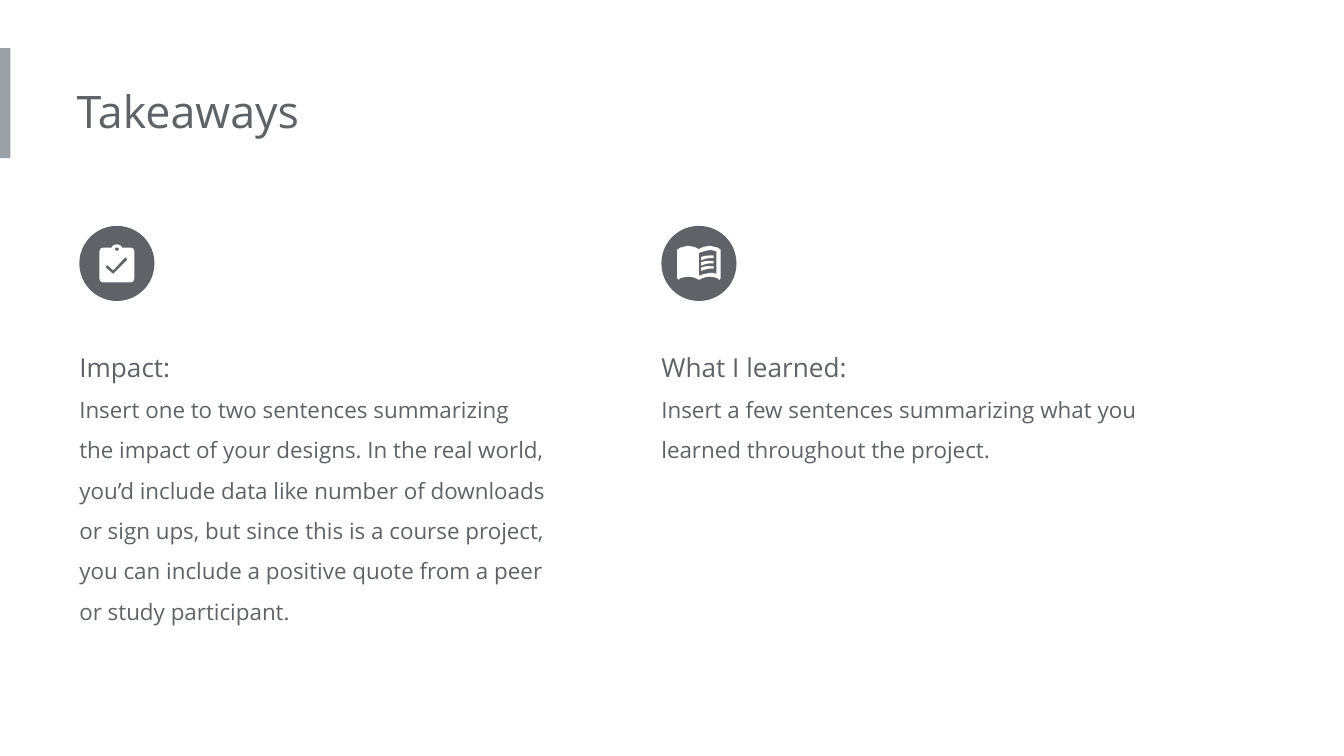
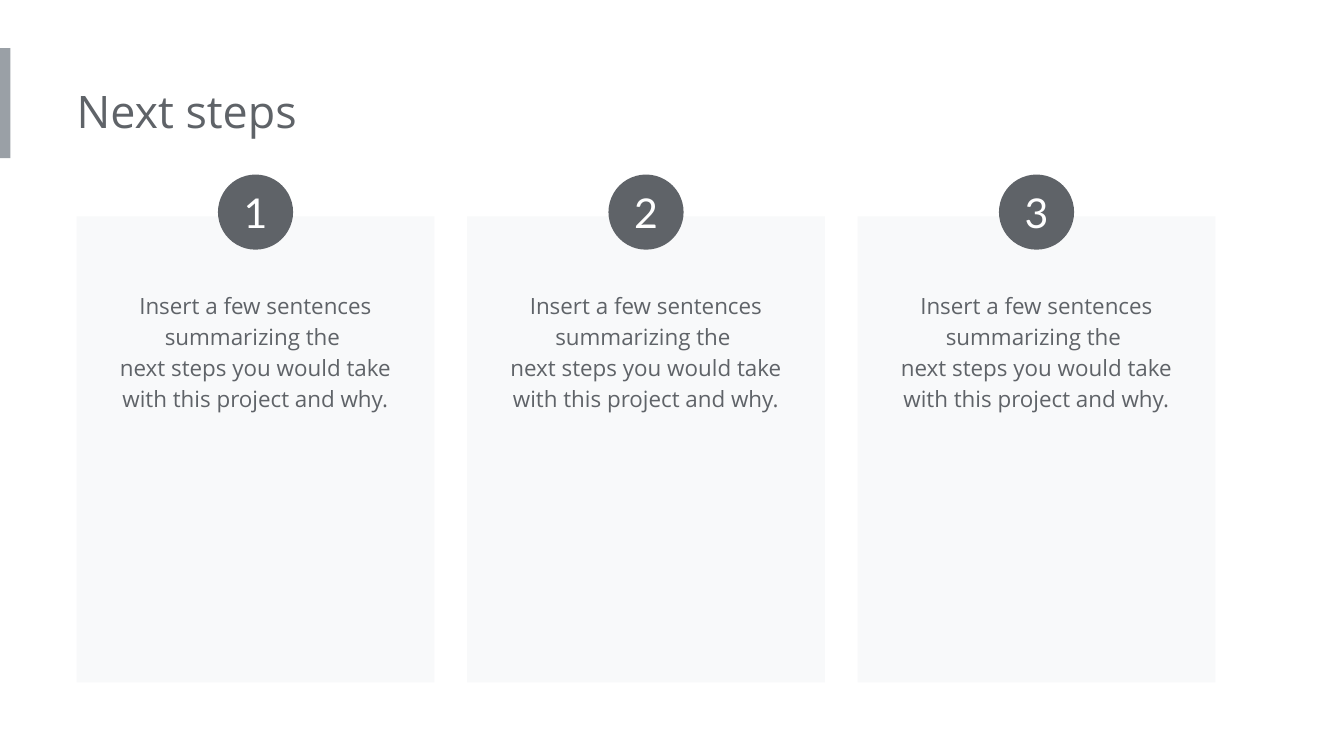
from math import cos, pi, sin
from pptx import Presentation, util as u
from pptx.dml.color import RGBColor
from pptx.enum import shapes, text


class Theme:
    ink = RGBColor.from_string("5F6368")
    bar = RGBColor.from_string("9AA0A6")
    card = RGBColor.from_string("F8F9FA")
    white = RGBColor.from_string("FFFFFF")
    font, digit = "Open Sans", "Lato"
    title, head, body, number = 24, 14, 12, 22


def paint(shape, color):
    shape.shadow.inherit = False
    shape.fill.solid()
    shape.fill.fore_color.rgb = color
    shape.line.fill.background()


def write(frame, items, inset, align=text.PP_ALIGN.LEFT, space=1.0,
          font=Theme.font, color=Theme.ink):
    frame.word_wrap = True
    frame.margin_left = u.Cm(inset)
    for i, (words, size) in enumerate(items):
        para = frame.add_paragraph() if i else frame.paragraphs[0]
        para.alignment = align
        para.line_spacing = space
        for j, line in enumerate(words.split("\n")):
            if j:
                para.add_line_break()
            run = para.add_run()
            run.text = line
            run.font.name = font
            run.font.size = u.Pt(size)
            run.font.color.rgb = color


deck = Presentation()
deck.slide_width, deck.slide_height = u.Cm(25.4), u.Cm(14.29)
rect, oval = shapes.MSO_SHAPE.RECTANGLE, shapes.MSO_SHAPE.OVAL
grow = text.MSO_AUTO_SIZE.SHAPE_TO_FIT_TEXT
mid = text.PP_ALIGN.CENTER
disc = 1.42

pages = []
for name in ("Takeaways", "Next steps"):
    page = deck.slides.add_slide(deck.slide_layouts[6])
    bar = page.shapes.add_shape(rect, 0, u.Cm(0.91), u.Cm(0.2), u.Cm(2.08))
    paint(bar, Theme.bar)
    box = page.shapes.add_textbox(u.Cm(1.45), u.Cm(1.45), u.Cm(13.69), u.Cm(1.52))
    write(box.text_frame, [(name, Theme.title)], 0)
    box.text_frame.auto_size = grow
    pages.append(page)
learn, steps = pages

board = [(0, -36), (5, -35), (8, -33), (10, -30), (26, -30), (31, -28),
         (33, -23), (33, 29), (31, 34), (26, 36)]
hole = [(3.5 * cos(k * pi / 6), 3.5 * sin(k * pi / 6) - 27) for k in range(12)]
check = [(-7, 20), (-22, 7), (-18, 3), (-7, 13), (16, -12), (20, -7)]
book = [(0, -27), (8, -31), (18, -33), (23, -33), (30, -31), (35, -30),
        (41, -26), (41, 28), (39, 31), (35, 28), (28, 26), (20, 25),
        (12, 26), (6, 28), (0, 31)]
leaf = [(0, -20), (10, -23), (18, -25), (25, -25), (33, -23),
        (33, 20), (28, 18), (20, 18), (10, 20), (0, 23)]
rule = [(4, -12), (10, -14), (18, -15), (28, -15),
        (28, -10), (18, -10), (10, -8), (4, -6)]
rules = [[(x, y + 10 * k) for x, y in rule] for k in range(3)]

topics = [
    ("Impact: ",
     "Insert one to two sentences summarizing \nthe impact of your designs. "
     "In the real world, you’d include data like number of downloads or sign "
     "ups, but since this is a course project, you can include a positive "
     "quote from a peer \nor study participant.",
     6.71, board, [hole, check]),
    ("What I learned:",
     "Insert a few sentences summarizing what you learned throughout the project.",
     2.92, book, [leaf] + rules),
]
for i, (head, body, tall, half, cuts) in enumerate(topics):
    left, top = 1.5 + 11 * i, 4.27
    box = learn.shapes.add_textbox(u.Cm(left), u.Cm(6.22), u.Cm(9.58), u.Cm(tall))
    write(box.text_frame, [(head, Theme.head), (body, Theme.body)], 0, space=1.5)
    box.text_frame.auto_size = grow
    dot = learn.shapes.add_shape(oval, u.Cm(left), u.Cm(top), u.Cm(disc), u.Cm(disc))
    paint(dot, Theme.ink)
    edge = half + [(-x, y) for x, y in reversed(half)]
    pen = learn.shapes.build_freeform(*edge[0], scale=u.Cm(0.01))
    pen.add_line_segments(edge[1:])
    for cut in cuts:
        pen.move_to(*cut[0])
        pen.add_line_segments(cut[1:])
    icon = pen.convert_to_shape(u.Cm(left + disc / 2), u.Cm(top + disc / 2))
    paint(icon, Theme.white)

wide, pad = 6.76, 0.53
plan = ("Insert a few sentences summarizing the \n"
        "next steps you would take with this project and why.")
for i in range(3):
    left = 1.45 + 7.38 * i
    card = steps.shapes.add_shape(rect, u.Cm(left), u.Cm(4.09), u.Cm(wide), u.Cm(8.81))
    paint(card, Theme.card)
    box = steps.shapes.add_textbox(
        u.Cm(left + pad), u.Cm(5.33), u.Cm(wide - 2 * pad), u.Cm(3.43))
    write(box.text_frame, [(plan, Theme.body)], 0.25, mid, 1.15)
    box.text_frame.auto_size = grow
    dot = steps.shapes.add_shape(
        oval, u.Cm(left + (wide - disc) / 2), u.Cm(3.3), u.Cm(disc), u.Cm(disc))
    paint(dot, Theme.ink)
    frame = dot.text_frame
    write(frame, [(str(i + 1), Theme.number)], 0, mid,
          font=Theme.digit, color=Theme.white)
    frame.margin_right = frame.margin_top = frame.margin_bottom = 0
    frame.vertical_anchor = text.MSO_ANCHOR.MIDDLE

deck.save("out.pptx")
